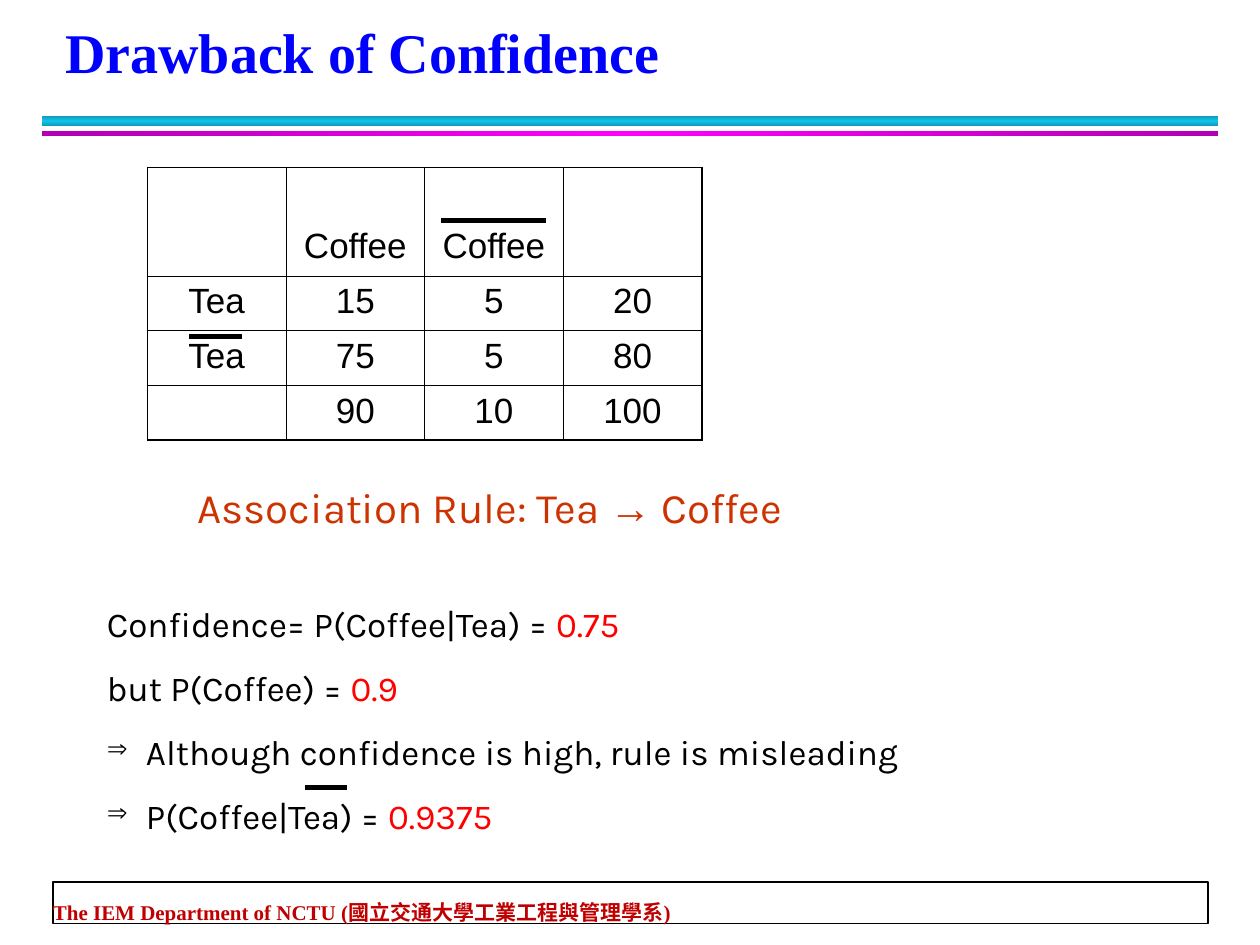
from copy import deepcopy
from dataclasses import dataclass

from lxml.etree import SubElement
from pptx import Presentation
from pptx.dml.color import RGBColor
from pptx.enum.shapes import MSO_CONNECTOR as Connector, MSO_SHAPE as Shape
from pptx.enum.text import MSO_ANCHOR as Anchor, PP_ALIGN as Align
from pptx.oxml.ns import qn
from pptx.util import Inches, Pt


@dataclass(frozen=True)
class Theme:
    serif: str = "Times New Roman"
    sans: str = "Arial"
    body: str = "Karla"
    black: str = "000000"
    white: str = "FFFFFF"
    blue: str = "0000FF"
    dark_red: str = "C00000"
    orange: str = "CC3300"
    red: str = "FF0000"
    cyan_band: tuple = ("0E9BBA", "12C2E9", "0E9BBA")
    magenta_band: tuple = ("B200B2", "FF00FF", "B200B2")
    title_size: float = 32
    rule_size: float = 24
    text_size: float = 20
    footer_size: float = 12
    outer_border: float = 1.08
    inner_border: float = 0.45
    overline: float = 3


THEME = Theme()
WIDTH, HEIGHT = 10, 7.5

TITLE = "Drawback of Confidence"
FOOTER = "The IEM Department of NCTU (國立交通大學工業工程與管理學系)"
COUNTS = [
    ["", "Coffee", "Coffee", ""],
    ["Tea", "15", "5", "20"],
    ["Tea", "75", "5", "80"],
    ["", "90", "10", "100"],
]
RULE = ["Association Rule: Tea ", ("→", {"font": THEME.sans}), " Coffee"]
# Each line: text, highlighted value, bulleted
FINDINGS = [
    ("Confidence= P(Coffee|Tea) = ", "0.75", False),
    ("but P(Coffee) = ", "0.9", False),
    ("Although confidence is high, rule is misleading", "", True),
    ("P(Coffee|Tea) = ", "0.9375", True),
]
TABLE_LEFT, TABLE_TOP, COLUMN, ROW = 1.17, 1.33, 1.1, 0.43
HEADER_ROW = 2 * ROW
# Bars that negate Coffee, Tea and Tea: left, top, length
OVERLINES = [(3.5, 1.75, 0.83), (1.5, 2.67, 0.42), (2.42, 6.25, 0.33)]


def color(value):
    return RGBColor.from_string(value)


def write(paragraph, runs, *, font=THEME.body, size=THEME.text_size, ink=THEME.black,
          bold=False, align=None, before=0, line=None, indent=0, bullet=None):
    """Fill a paragraph with runs: strings, or (string, overrides) pairs."""
    properties = paragraph._p.get_or_add_pPr()
    if indent:
        properties.set("marL", str(Inches(indent)))
    if bullet:
        properties.set("indent", str(-Inches(indent)))
        bullet_color = SubElement(properties, qn("a:buClr"))
        SubElement(bullet_color, qn("a:srgbClr"), val=ink)
        SubElement(properties, qn("a:buSzPct"), val="75000")
        SubElement(properties, qn("a:buChar"), char=bullet)
    paragraph.alignment = align
    paragraph.space_before = Pt(before)
    if line:
        paragraph.line_spacing = Pt(line)
    for item in runs:
        text, changes = (item, {}) if isinstance(item, str) else item
        run = paragraph.add_run()
        run.text = text
        run.font.name = changes.get("font", font)
        run.font.size = Pt(size)
        run.font.bold = bold
        run.font.color.rgb = color(changes.get("ink", ink))


def add_text_frame(slide, box, anchor=Anchor.TOP, insets=(0.1, 0.05)):
    frame = slide.shapes.add_textbox(*map(Inches, box)).text_frame
    frame.word_wrap = True
    frame.vertical_anchor = anchor
    frame.margin_left = frame.margin_right = Inches(insets[0])
    frame.margin_top = frame.margin_bottom = Inches(insets[1])
    return frame


def add_rectangle(slide, box):
    shape = slide.shapes.add_shape(Shape.RECTANGLE, *map(Inches, box))
    shape.shadow.inherit = False
    return shape


def add_band(slide, box, colors, angle):
    band = add_rectangle(slide, box)
    band.line.fill.background()
    band.fill.gradient()
    band.fill.gradient_angle = angle
    first = band.fill._fill._gradFill.find(qn("a:gsLst"))[0]
    first.addnext(deepcopy(first))
    for stop, position, value in zip(band.fill.gradient_stops, (0, 0.5, 1), colors):
        stop.position = position
        stop.color.rgb = color(value)


def add_overline(slide, left, top, length):
    bar = slide.shapes.add_connector(
        Connector.STRAIGHT, *map(Inches, (left, top, left + length, top)))
    bar.line.color.rgb = color(THEME.black)
    bar.line.width = Pt(THEME.overline)
    SubElement(bar._element.spPr, qn("a:effectLst"))


def set_borders(cell, outer_sides):
    properties = cell._tc.get_or_add_tcPr()
    for index, side in enumerate(("lnL", "lnR", "lnT", "lnB")):
        width = THEME.outer_border if side in outer_sides else THEME.inner_border
        border = SubElement(properties, qn(f"a:{side}"), w=str(Pt(width)))
        fill = SubElement(border, qn("a:solidFill"))
        SubElement(fill, qn("a:srgbClr"), val=THEME.black)
        properties.remove(border)
        properties.insert(index, border)


def add_count_table(slide):
    rows, columns = len(COUNTS), len(COUNTS[0])
    height = HEADER_ROW + ROW * (rows - 1)
    table = slide.shapes.add_table(rows, columns, *map(
        Inches, (TABLE_LEFT, TABLE_TOP, COLUMN * columns, height))).table
    table.first_row = table.horz_banding = False
    for column in table.columns:
        column.width = Inches(COLUMN)
    for r, values in enumerate(COUNTS):
        table.rows[r].height = Inches(ROW if r else HEADER_ROW)
        for c, value in enumerate(values):
            cell = table.cell(r, c)
            cell.fill.background()
            if r == 0:
                cell.vertical_anchor = Anchor.BOTTOM
                cell.margin_bottom = Inches(0.08)
            if value:
                write(cell.text_frame.paragraphs[0], [value],
                      font=THEME.sans, align=Align.CENTER)
            edges = {"lnL": c == 0, "lnR": c == columns - 1,
                     "lnT": r == 0, "lnB": r == rows - 1}
            set_borders(cell, [side for side, outer in edges.items() if outer])


def add_findings(slide):
    frame = add_text_frame(slide, (0.75, 3.77, 8.08, 2.93))
    write(frame.paragraphs[0], RULE, size=THEME.rule_size, ink=THEME.orange, indent=0.72)
    for number, (text, value, bulleted) in enumerate(FINDINGS):
        runs = [text] + ([(value, {"ink": THEME.red})] if value else [])
        write(frame.add_paragraph(), runs, before=12.5 if number else 40.5,
              indent=0.31 if bulleted else 0, bullet="⇒" if bulleted else None)


def main():
    presentation = Presentation()
    presentation.slide_width, presentation.slide_height = Inches(WIDTH), Inches(HEIGHT)
    slide = presentation.slides.add_slide(presentation.slide_layouts[6])

    band_left = WIDTH / 30
    band_width = WIDTH - 2 * band_left
    add_band(slide, (band_left, 0.92, band_width, 0.08), THEME.cyan_band, 90)
    add_band(slide, (band_left, 1.04, band_width, 0.04), THEME.magenta_band, 0)

    footer_box = add_rectangle(slide, (0.42, 7, 9.17, 0.33))
    footer_box.fill.solid()
    footer_box.fill.fore_color.rgb = color(THEME.white)
    footer_box.line.color.rgb = color(THEME.black)
    footer_box.line.width = Pt(1)
    footer = add_text_frame(slide, (0.42, 7.06, 9.15, 0.28), Anchor.BOTTOM, (0, 0))
    write(footer.paragraphs[0], [FOOTER], font=THEME.serif, size=THEME.footer_size,
          ink=THEME.dark_red, bold=True, line=20)

    title = add_text_frame(slide, (0.42, 0.14, 9.06, 0.58), Anchor.BOTTOM)
    write(title.paragraphs[0], [TITLE], font=THEME.serif, size=THEME.title_size,
          ink=THEME.blue, bold=True, line=36)

    add_count_table(slide)
    add_findings(slide)
    for overline in OVERLINES:
        add_overline(slide, *overline)
    presentation.save("out.pptx")


if __name__ == "__main__":
    main()
